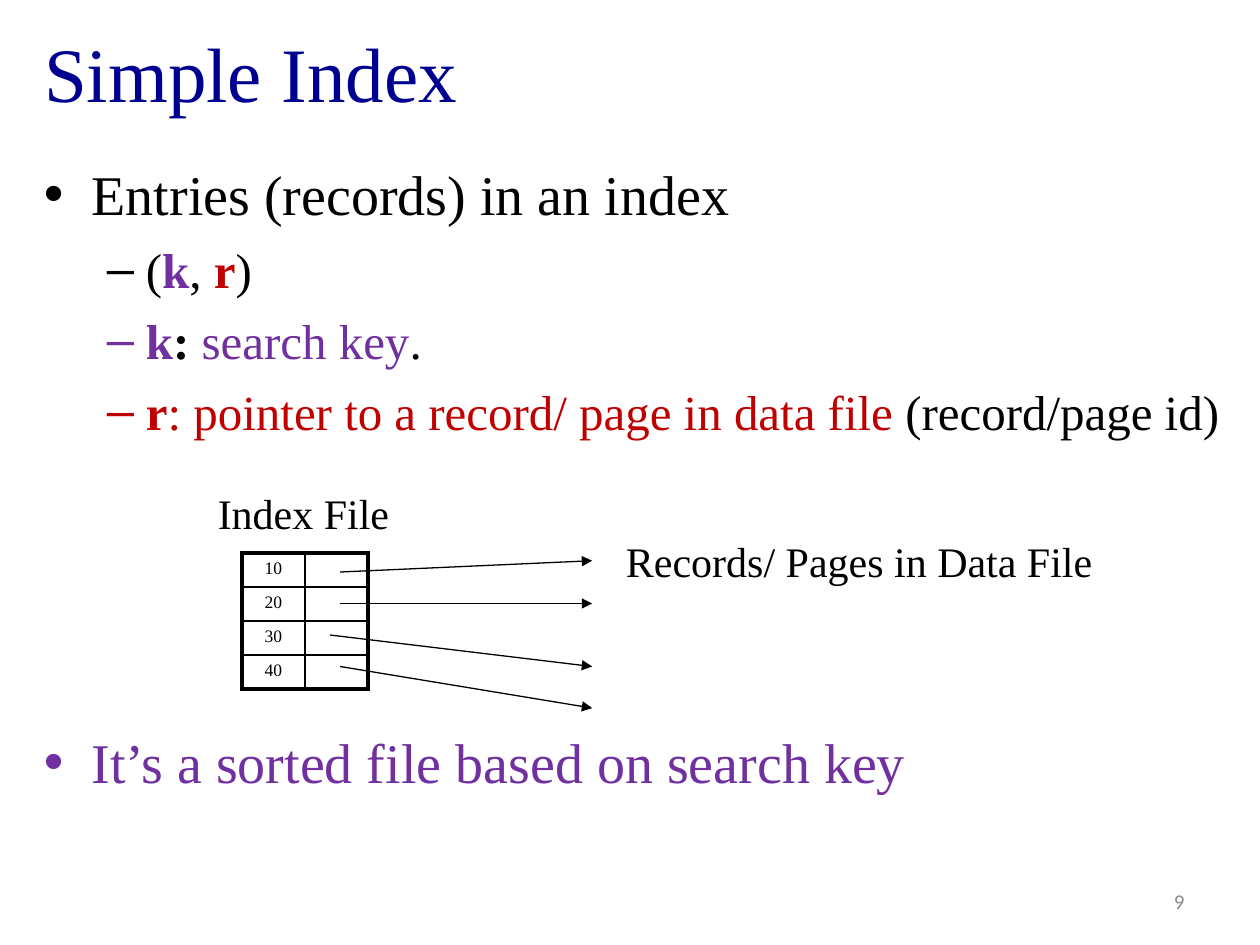
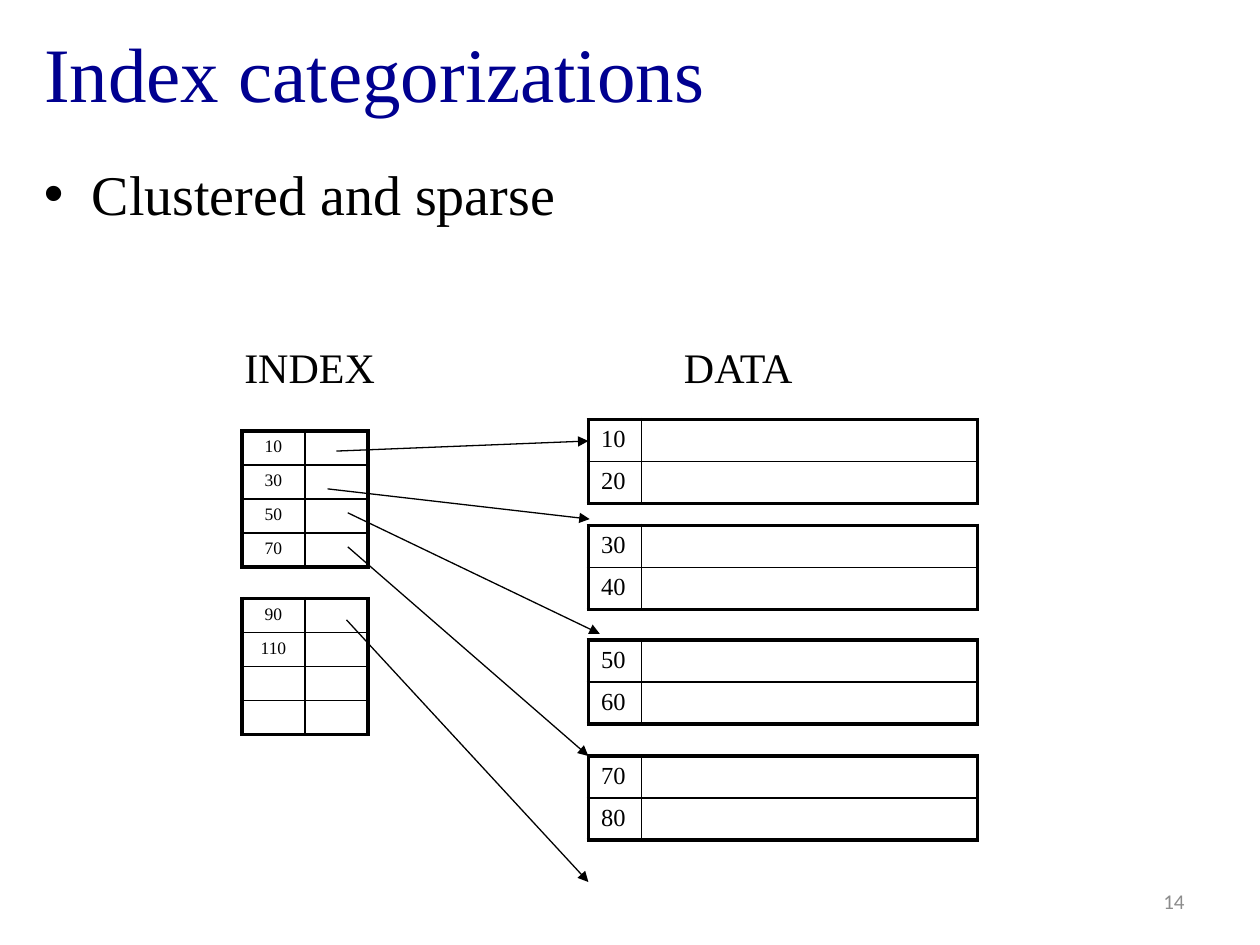
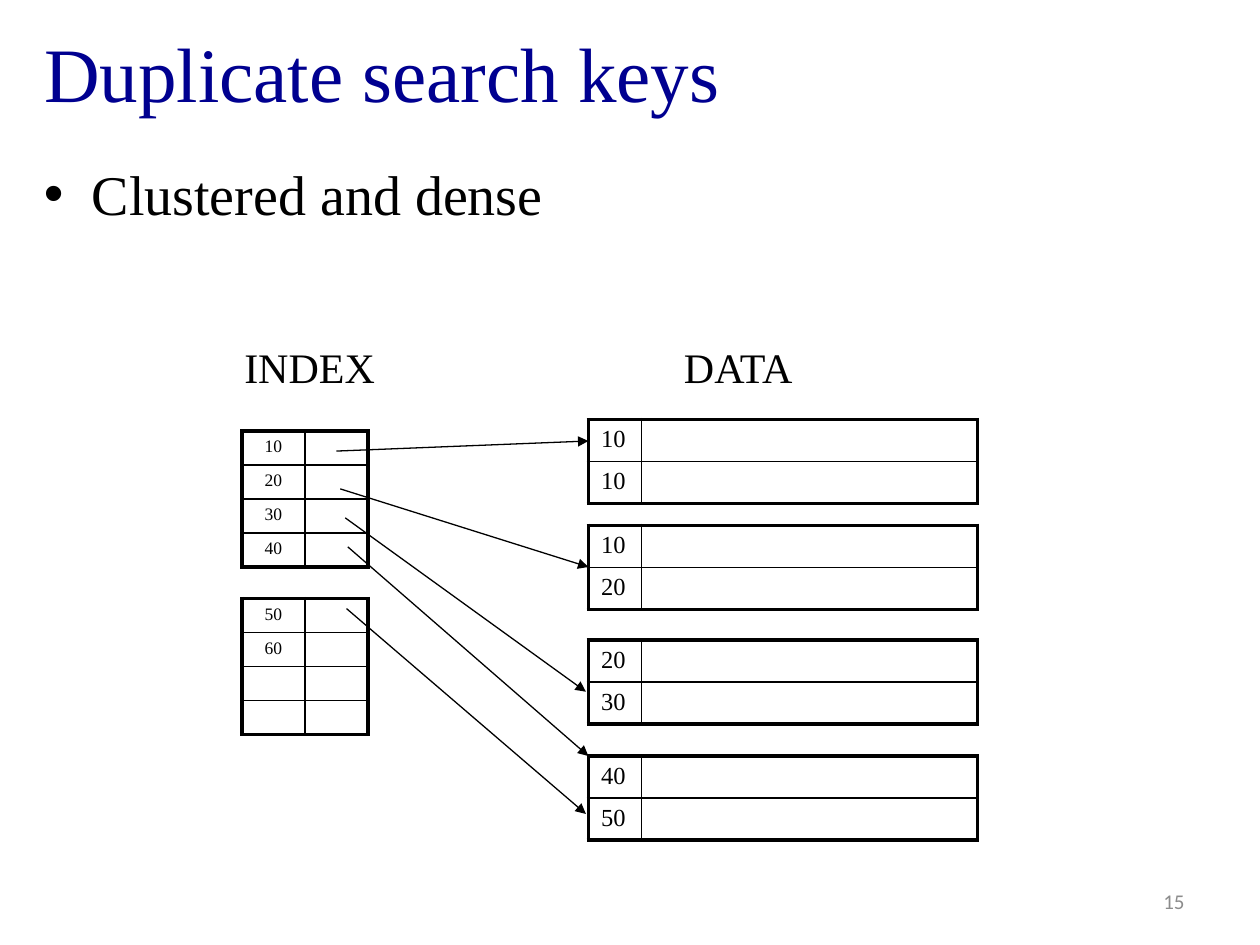
from lxml.etree import SubElement
from pptx import Presentation
from pptx.dml.color import RGBColor
from pptx.enum.shapes import MSO_CONNECTOR
from pptx.enum.text import MSO_ANCHOR, MSO_AUTO_SIZE, PP_ALIGN
from pptx.oxml.ns import qn
from pptx.util import Inches, Pt

COLORS = {
    "title": "000090",
    "ink": "000000",
    "key": "7030A0",
    "pointer": "C00000",
    "number": "8C8C8C",
}
SERIF = "Times New Roman"
THICK, THIN = 2.25, 1
LEVELS = [
    {"size": 32, "margin": 0.38, "hang": 0.38, "mark": "•", "before": 8},
    {"size": 28, "margin": 0.81, "hang": 0.31, "mark": "–", "before": 7},
]
INDEX_STYLE = {"columns": (0.5, 0.5), "row": 0.27, "size": 10, "align": PP_ALIGN.CENTER}
DATA_STYLE = {"columns": (0.42, 2.67), "row": 0.33, "size": 14, "align": PP_ALIGN.LEFT}
INDEX_LEFT, DATA_LEFT = 1.92, 4.67
INDEX_TOPS = (3.42, 4.75)
DATA_TOPS = (3.33, 4.17, 5.08, 6)


def rgb(name):
    """Look up a named colour."""
    return RGBColor.from_string(COLORS[name])


def style(run, size, color="ink", bold=False, font=SERIF):
    """Format one run of text."""
    run.font.name = font
    run.font.size = Pt(size)
    run.font.bold = bold
    run.font.color.rgb = rgb(color)


def place(shape, left, top, width, height):
    """Move a shape to a position in inches."""
    shape.left, shape.top = Inches(left), Inches(top)
    shape.width, shape.height = Inches(width), Inches(height)


def add_page(prs, title, number):
    """Add a slide with its title and page number."""
    slide = prs.slides.add_slide(prs.slide_layouts[5])
    heading = slide.shapes.title
    place(heading, 0.25, 0.05, 9.55, 1.04)
    heading.text_frame.text = title
    heading.text_frame.vertical_anchor = MSO_ANCHOR.MIDDLE
    paragraph = heading.text_frame.paragraphs[0]
    paragraph.alignment = PP_ALIGN.LEFT
    style(paragraph.runs[0], 44, "title")

    footer = slide.shapes.add_textbox(Inches(7.17), Inches(6.95), Inches(2.33), Inches(0.4))
    footer.text_frame.word_wrap = True
    footer.text_frame.vertical_anchor = MSO_ANCHOR.MIDDLE
    footer.text_frame.text = str(number)
    paragraph = footer.text_frame.paragraphs[0]
    paragraph.alignment = PP_ALIGN.RIGHT
    style(paragraph.runs[0], 12, "number", font="Calibri")
    return slide


def add_bullets(slide, bullets):
    """Add the body from (level, runs, space before) items."""
    body = slide.shapes.add_textbox(Inches(0.25), Inches(1.22), Inches(9.55), Inches(6.13))
    frame = body.text_frame
    frame.word_wrap = True
    for position, (level, runs, before) in enumerate(bullets):
        paragraph = frame.add_paragraph() if position else frame.paragraphs[0]
        rules = LEVELS[level]
        paragraph.level = level
        paragraph.space_before = Pt(rules["before"] if before is None else before)
        properties = paragraph._p.get_or_add_pPr()
        properties.set("marL", str(Inches(rules["margin"])))
        properties.set("indent", str(-Inches(rules["hang"])))
        SubElement(properties, qn("a:buFont")).set("typeface", "Arial")
        SubElement(properties, qn("a:buChar")).set("char", rules["mark"])
        for text, color, bold in runs:
            run = paragraph.add_run()
            run.text = text
            style(run, rules["size"], color, bold)


def add_label(slide, text, left, top, width):
    """Add a one-line caption."""
    label = slide.shapes.add_textbox(Inches(left), Inches(top), Inches(width), Inches(0.5))
    label.text_frame.word_wrap = False
    label.text_frame.auto_size = MSO_AUTO_SIZE.SHAPE_TO_FIT_TEXT
    label.text_frame.text = text
    style(label.text_frame.paragraphs[0].runs[0], 24)


def set_borders(cell, widths):
    """Draw left, right, top and bottom borders of a cell."""
    properties = cell._tc.get_or_add_tcPr()
    for position, (side, width) in enumerate(zip(("lnL", "lnR", "lnT", "lnB"), widths)):
        border = properties.makeelement(qn(f"a:{side}"), {"w": str(Pt(width))})
        fill = SubElement(border, qn("a:solidFill"))
        SubElement(fill, qn("a:srgbClr")).set("val", COLORS["ink"])
        properties.insert(position, border)


def add_block(slide, keys, left, top, look):
    """Add a two-column block of keys with a heavy outer frame."""
    columns, row_height = look["columns"], look["row"]
    last = len(keys) - 1
    table = slide.shapes.add_table(
        len(keys), 2, Inches(left), Inches(top),
        Inches(sum(columns)), Inches(row_height * len(keys)),
    ).table
    table.first_row = table.horz_banding = False
    for column, width in zip(table.columns, columns):
        column.width = Inches(width)
    for row, key in enumerate(keys):
        table.rows[row].height = Inches(row_height)
        for side, text in enumerate((key, "")):
            cell = table.cell(row, side)
            cell.fill.background()
            cell.text_frame.text = text
            paragraph = cell.text_frame.paragraphs[0]
            paragraph.alignment = look["align"]
            for run in paragraph.runs:
                style(run, look["size"])
            paragraph._p.get_or_add_endParaRPr().set("sz", str(look["size"] * 100))
            outer = (side == 0, side == 1, row == 0, row == last)
            set_borders(cell, [THICK if edge else THIN for edge in outer])


def add_arrows(slide, arrows):
    """Add thin arrows from (x1, y1, x2, y2) in inches."""
    for ends in arrows:
        arrow = slide.shapes.add_connector(MSO_CONNECTOR.STRAIGHT, *map(Inches, ends))
        arrow.line.width = Pt(0.75)
        arrow.line.color.rgb = rgb("ink")
        SubElement(arrow.line._get_or_add_ln(), qn("a:tailEnd")).set("type", "triangle")
        SubElement(arrow._element.spPr, qn("a:effectLst"))


def add_index_page(prs, title, number, topic, index_blocks, data_blocks, arrows):
    """Add a slide that maps index blocks to data blocks."""
    slide = add_page(prs, title, number)
    add_bullets(slide, [(0, [(topic, "ink", False)], 4)])
    add_label(slide, "INDEX", 1.84, 2.66, 1.25)
    add_label(slide, "DATA", 5.33, 2.66, 1.07)
    for keys, top in zip(index_blocks, INDEX_TOPS):
        add_block(slide, keys, INDEX_LEFT, top, INDEX_STYLE)
    for keys, top in zip(data_blocks, DATA_TOPS):
        add_block(slide, keys, DATA_LEFT, top, DATA_STYLE)
    add_arrows(slide, arrows)


def add_simple_index(prs):
    """Add the slide that introduces index entries."""
    slide = add_page(prs, "Simple Index", 9)
    add_bullets(slide, [
        (0, [("Entries (records) in an index", "ink", False)], 4),
        (1, [("(", "ink", False), ("k", "key", True), (", ", "ink", False),
             ("r", "pointer", True), (")", "ink", False)], None),
        (1, [("k", "key", True), (": ", "ink", True),
             ("search key", "key", False), (".", "ink", False)], None),
        (1, [("r", "pointer", True),
             (": pointer to a record/ page in data file ", "pointer", False),
             ("(record/page id)", "ink", False)], None),
        (0, [("It’s a sorted file based on search key", "key", False)], 164),
    ])
    add_block(slide, ("10", "20", "30", "40"), INDEX_LEFT, 4.39, INDEX_STYLE)
    add_label(slide, "Index File", 1.63, 3.82, 1.58)
    add_label(slide, "Records/ Pages in Data File", 4.87, 4.2, 4)
    add_arrows(slide, [
        (2.7, 4.54, 4.7, 4.45),
        (2.7, 4.79, 4.7, 4.79),
        (2.62, 5.04, 4.7, 5.29),
        (2.7, 5.29, 4.7, 5.62),
    ])


def main():
    """Build and save the deck."""
    prs = Presentation()
    prs.slide_width, prs.slide_height = Inches(10), Inches(7.5)
    add_simple_index(prs)
    add_index_page(
        prs, "Index categorizations", 14, "Clustered and sparse",
        [("10", "30", "50", "70"), ("90", "110", "", "")],
        [("10", "20"), ("30", "40"), ("50", "60"), ("70", "80")],
        [(2.67, 3.58, 4.67, 3.5), (2.6, 3.88, 4.68, 4.12), (2.76, 4.07, 4.76, 5.03),
         (2.76, 4.34, 4.67, 6), (2.75, 4.92, 4.67, 7)],
    )
    add_index_page(
        prs, "Duplicate search keys", 15, "Clustered and dense",
        [("10", "20", "30", "40"), ("50", "60", "", "")],
        [("10", "10"), ("10", "20"), ("20", "30"), ("40", "50")],
        [(2.67, 3.58, 4.67, 3.5), (2.7, 3.88, 4.67, 4.5), (2.74, 4.11, 4.65, 5.49),
         (2.76, 4.34, 4.67, 6), (2.75, 4.83, 4.65, 6.46)],
    )
    prs.save("out.pptx")


if __name__ == "__main__":
    main()
